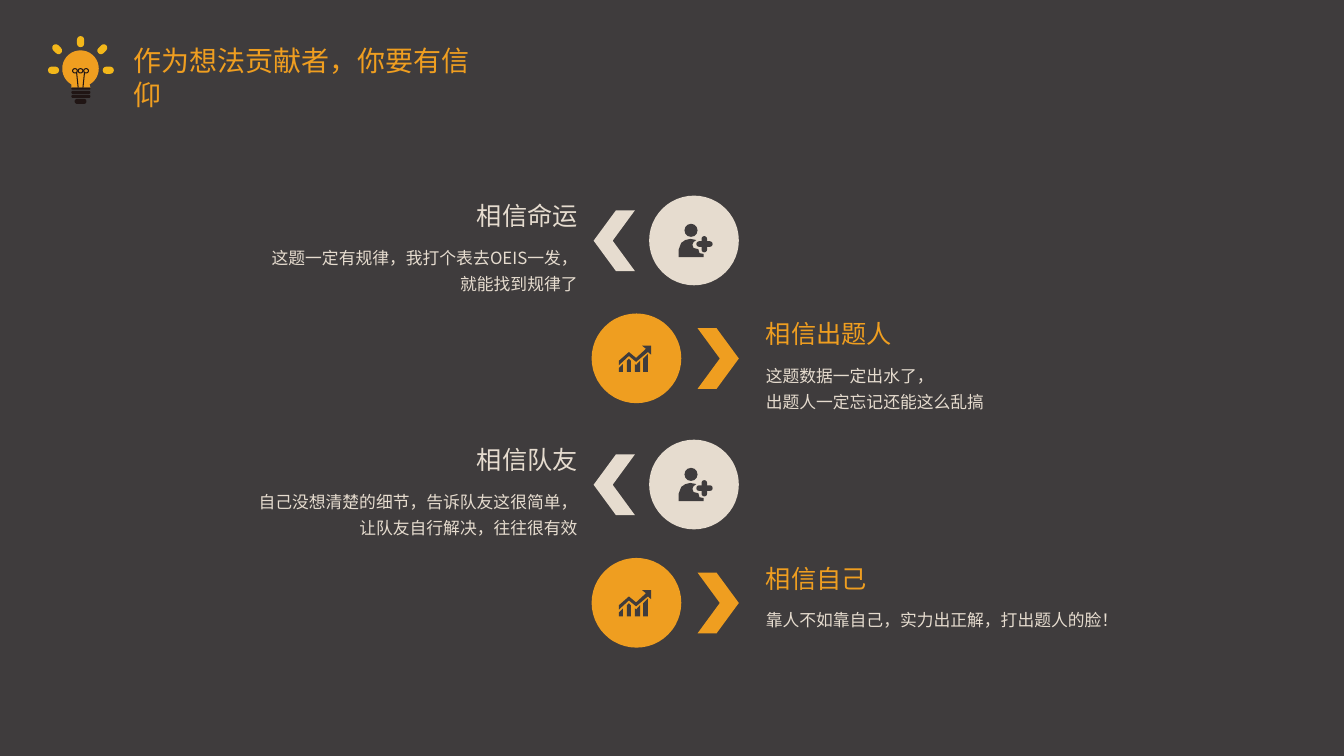
from math import cos, radians, sin

from lxml.etree import SubElement
from pptx import Presentation
from pptx.dml.color import RGBColor
from pptx.enum.shapes import MSO_CONNECTOR, MSO_SHAPE
from pptx.enum.text import MSO_ANCHOR, MSO_AUTO_SIZE, PP_ALIGN
from pptx.oxml.ns import qn
from pptx.util import Cm, Pt

DARK = RGBColor(0x3F, 0x3C, 0x3D)
ORANGE = RGBColor(0xEF, 0x9E, 0x20)
YELLOW = RGBColor(0xF3, 0xB7, 0x1A)
CREAM = RGBColor(0xE6, 0xDC, 0xCF)
BLACK = RGBColor(0x20, 0x15, 0x14)
FONT = "Noto Sans CJK SC"

PERSON_BODY = [
    [(1.37, 1.55), (0.74, 1.55), (0.74, 1.37), (0.81, 1.19), (0.91, 1.12),
     (1.04, 1.09), (1.19, 1.12), (1.12, 1.17), (1.09, 1.24), (1.12, 1.32),
     (1.24, 1.35), (1.27, 1.45), (1.37, 1.47)],
]
CHART_BARS = [
    [(0.69, 1.47), (0.79, 1.47), (0.79, 1.27), (0.69, 1.37)],
    [(0.89, 1.19), (0.89, 1.47), (0.99, 1.47), (0.99, 1.19), (0.94, 1.14)],
    [(1.09, 1.27), (1.09, 1.47), (1.22, 1.47), (1.22, 1.19), (1.12, 1.3)],
    [(1.3, 1.14), (1.3, 1.47), (1.42, 1.47), (1.42, 1.02)],
]
CHART_ARROW = [
    [(1.5, 0.81), (1.27, 0.81), (1.37, 0.89), (1.12, 1.12), (0.94, 0.97),
     (0.69, 1.19), (0.69, 1.3), (0.94, 1.07), (1.12, 1.22), (1.42, 0.97),
     (1.5, 1.04)],
]

deck = Presentation()
deck.slide_width = Cm(33.87)
deck.slide_height = Cm(19.05)
page = deck.slides.add_slide(deck.slide_layouts[5])
page.background.fill.solid()
page.background.fill.fore_color.rgb = DARK


def add_preset(kind, left, top, width, height, colour, rotation=0):
    shape = page.shapes.add_shape(kind, Cm(left), Cm(top), Cm(width), Cm(height))
    shape.shadow.inherit = False
    shape.fill.solid()
    shape.fill.fore_color.rgb = colour
    shape.line.fill.background()
    shape.rotation = rotation
    return shape


def add_outline(contours, colour, left=0, top=0):
    builder = None
    for contour in contours:
        points = [(Cm(left + x), Cm(top + y)) for x, y in contour]
        if builder is None:
            builder = page.shapes.build_freeform(*points[0])
        else:
            builder.move_to(*points[0])
        builder.add_line_segments(points[1:], close=True)
    shape = builder.convert_to_shape()
    shape.shadow.inherit = False
    shape.fill.solid()
    shape.fill.fore_color.rgb = colour
    shape.line.fill.background()


bulb = [(2.03 + 0.46 * cos(radians(angle)), 1.73 + 0.46 * sin(radians(angle)))
        for angle in range(120, 421, 10)]
add_outline([bulb + [(2.28, 2.21), (1.8, 2.21)]], ORANGE)

for left in (1.83, 1.97, 2.11):
    loop = add_preset(MSO_SHAPE.OVAL, left, 1.73, 0.12, 0.11, BLACK)
    loop.fill.background()
    loop.line.color.rgb = BLACK
    loop.line.width = Pt(0.75)
for top_x, foot_x in ((1.93, 1.97), (2.13, 2.09)):
    stem = page.shapes.add_connector(
        MSO_CONNECTOR.STRAIGHT, Cm(top_x), Cm(1.82), Cm(foot_x), Cm(2.21))
    stem.line.color.rgb = BLACK
    stem.line.width = Pt(0.75)
    SubElement(stem.element.spPr, qn("a:effectLst"))

for left, top, width, height in ((1.8, 2.21, 0.48, 0.05), (1.8, 2.29, 0.48, 0.08),
                                 (1.8, 2.39, 0.48, 0.08), (1.88, 2.49, 0.3, 0.13)):
    ring = add_preset(MSO_SHAPE.ROUNDED_RECTANGLE, left, top, width, height, BLACK)
    ring.adjustments[0] = 0.5

for centre_x, centre_y, rotation in ((1.35, 1.77, 0), (1.44, 1.24, 45), (2.03, 1.05, 90),
                                     (2.58, 1.24, 315), (2.73, 1.77, 0)):
    ray = add_preset(MSO_SHAPE.ROUNDED_RECTANGLE, centre_x - 0.14, centre_y - 0.09,
                     0.28, 0.18, YELLOW, rotation)
    ray.adjustments[0] = 0.5

title = page.shapes.title
title.left, title.top, title.width, title.height = Cm(3.1), Cm(0.97), Cm(9.6), Cm(1.12)
texts = [(title, ["作为想法贡献者，你要有信仰"], 20, ORANGE, PP_ALIGN.LEFT, 1.0)]

beliefs = [
    (4.93, True, "相信命运", 3.05,
     ["这题一定有规律，我打个表去OEIS一发，", "就能找到规律了"]),
    (7.9, False, "相信出题人", 3.91,
     ["这题数据一定出水了，", "出题人一定忘记还能这么乱搞"]),
    (11.08, True, "相信队友", 3.05,
     ["自己没想清楚的细节，告诉队友这很简单，", "让队友自行解决，往往很有效"]),
    (14.06, False, "相信自己", 3.05,
     ["靠人不如靠自己，实力出正解，打出题人的脸！"]),
]
for top, points_left, heading, heading_width, lines in beliefs:
    colour = CREAM if points_left else ORANGE
    circle_left = 16.36 if points_left else 14.91
    add_preset(MSO_SHAPE.OVAL, circle_left, top, 2.26, 2.26, colour)
    chevron = add_preset(MSO_SHAPE.CHEVRON, 14.96 if points_left else 17.58, top + 0.37,
                         1.04, 1.53, colour, 180 if points_left else 0)
    chevron.adjustments[0] = 0.54

    if points_left:
        add_preset(MSO_SHAPE.OVAL, circle_left + 0.89, top + 0.71, 0.33, 0.33, DARK)
        add_outline(PERSON_BODY, DARK, circle_left, top)
        for x, y, width, height in ((1.19, 1.15, 0.41, 0.14), (1.32, 1.02, 0.14, 0.41)):
            bar = add_preset(MSO_SHAPE.ROUNDED_RECTANGLE, circle_left + x, top + y,
                             width, height, DARK)
            bar.adjustments[0] = 0.5
    else:
        add_outline(CHART_BARS, DARK, circle_left, top)
        add_outline(CHART_ARROW, DARK, circle_left, top)

    align = PP_ALIGN.RIGHT if points_left else PP_ALIGN.LEFT
    for offset, width, height, content, size, ink, spacing in (
            (0, heading_width, 1.02, [heading], 18, colour, 1.0),
            (1.03, 9.14, 0.25 + 0.66 * len(lines), lines, 12, CREAM, 1.3)):
        left = 14.81 - width if points_left else 19.05
        box = page.shapes.add_textbox(Cm(left), Cm(top + offset), Cm(width), Cm(height))
        texts.append((box, content, size, ink, align, spacing))

for box, content, size, ink, align, spacing in texts:
    frame = box.text_frame
    frame.text = "\n".join(content)
    frame.word_wrap = True
    frame.auto_size = MSO_AUTO_SIZE.NONE
    frame.vertical_anchor = MSO_ANCHOR.TOP
    for para in frame.paragraphs:
        para.alignment = align
        para.line_spacing = spacing
        para.font.size = Pt(size)
        para.font.color.rgb = ink
        para.font.name = FONT
        defaults = para._p.pPr.find(qn("a:defRPr"))
        SubElement(defaults, qn("a:ea")).set("typeface", FONT)

deck.save("out.pptx")
